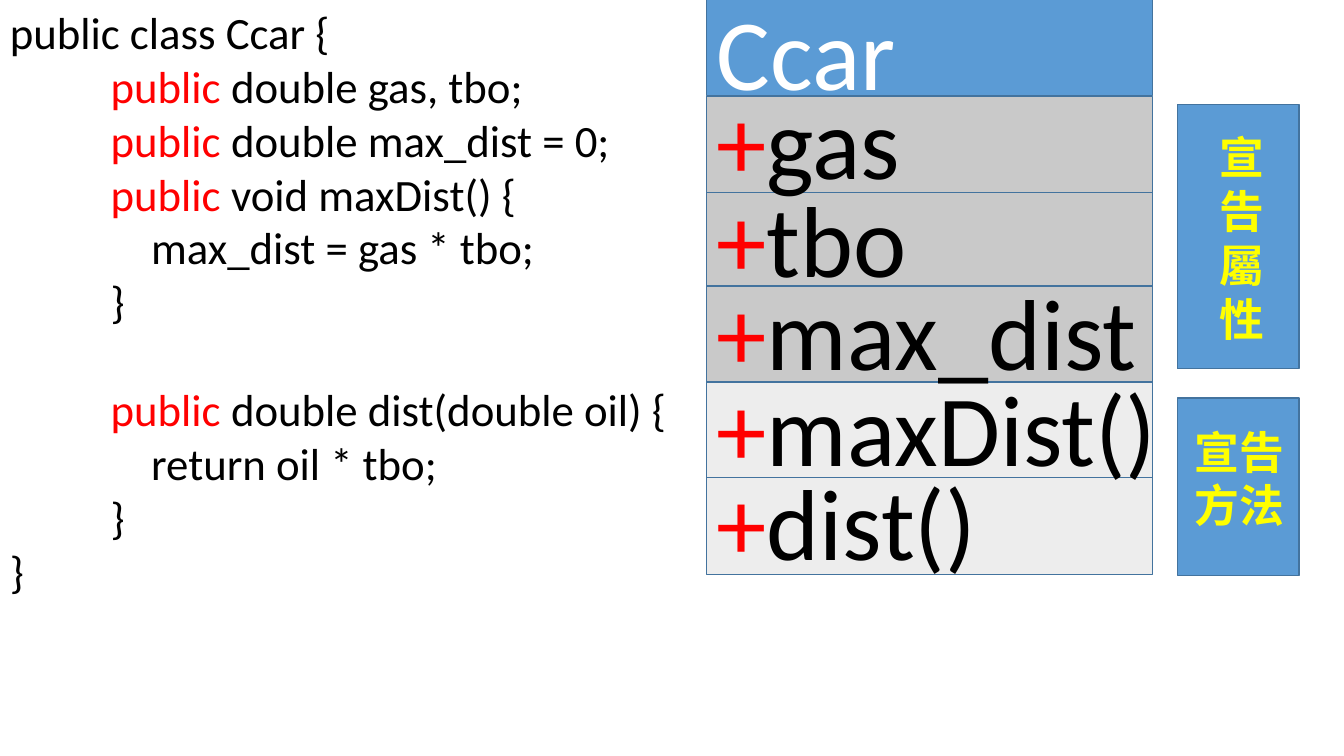
import pptx
import pptx.util
import pptx.dml.color
import pptx.enum.shapes
import pptx.enum.text

Cm = pptx.util.Cm
Pt = pptx.util.Pt
RED, BLACK, WHITE, YELLOW = "FF0000", "000000", "FFFFFF", "FFFF00"
BLUE, GREY, PALE, EDGE = "5B9BD5", "C9C9C9", "EDEDED", "43739E"


def rgb(value):
    return pptx.dml.color.RGBColor.from_string(value)


class SlideBuilder:
    font = "Calibri"

    def __init__(self, prs):
        self.s = prs.slides.add_slide(prs.slide_layouts[6])

    def box(self, left, top, width, height, fill):
        sp = self.s.shapes.add_shape(
            pptx.enum.shapes.MSO_SHAPE.FLOWCHART_PROCESS,
            Cm(left), Cm(top), Cm(width), Cm(height))
        sp.shadow.inherit = False
        sp.fill.solid()
        sp.fill.fore_color.rgb = rgb(fill)
        sp.line.color.rgb = rgb(EDGE)
        sp.line.width = Pt(1)

    def text(self, left, top, width, height, lines, size, bold=False):
        sp = self.s.shapes.add_textbox(Cm(left), Cm(top), Cm(width), Cm(height))
        tf = sp.text_frame
        tf.word_wrap = True
        tf.auto_size = pptx.enum.text.MSO_AUTO_SIZE.SHAPE_TO_FIT_TEXT
        font_format = {"name": self.font, "size": Pt(size), "bold": bold}
        for i, (indent, gap, runs) in enumerate(lines):
            p = tf.add_paragraph() if i else tf.paragraphs[0]
            p.space_before = Pt(gap)
            p._p.get_or_add_pPr().set("marL", str(Cm(indent)))
            for words, color in runs:
                r = p.add_run()
                r.text = words
                for key, value in font_format.items():
                    setattr(r.font, key, value)
                r.font.color.rgb = rgb(color)


def member(rest):
    return [("public", RED), (rest, BLACK)]


def plain(words):
    return [(words, BLACK)]


CODE = [
    (0, 0, plain("public class Ccar {")),
    (2.54, 0, member(" double gas, tbo;")),
    (2.54, 0, member(" double max_dist = 0;")),
    (2.54, 0, member(" void maxDist() {")),
    (3.56, 0, plain("max_dist = gas * tbo;")),
    (2.54, 0, plain("}")),
    (2.54, 39, member(" double dist(double oil) {")),
    (3.56, 0, plain("return oil * tbo;")),
    (2.54, 0, plain("}")),
    (0, 0, plain("}")),
]

CLASS_ROWS = [
    (-0.03, BLUE, -0.38, 8.92, [("Ccar", WHITE)]),
    (2.44, GREY, 1.85, 9.14, [("+", RED), ("gas", BLACK)]),
    (4.85, GREY, 4.34, 9.14, [("+", RED), ("tbo", BLACK)]),
    (7.21, GREY, 6.68, 11.53, [("+", RED), ("max_dist", BLACK)]),
    (9.63, PALE, 9.09, 11.86, [("+", RED), ("maxDist()", BLACK)]),
    (12.04, PALE, 11.46, 11.86, [("+", RED), ("dist()", BLACK)]),
]

LABELS = [
    (2.64, 6.65, (30.48, 3.15, 1.47, 5.74), "宣告屬性"),
    (10.03, 4.47, (29.85, 10.57, 2.9, 3), "宣告方法"),
]


def main():
    prs = pptx.Presentation()
    prs.slide_width, prs.slide_height = Cm(33.87), Cm(19.05)
    slide = SlideBuilder(prs)
    slide.text(0, 0, 18.06, 16.66, CODE, 32)
    for top, fill, *_ in CLASS_ROWS:
        slide.box(17.81, top, 11.23, 2.44, fill)
    for _, _, top, width, runs in CLASS_ROWS:
        slide.text(17.81, top, width, 3.33, [(0, 0, runs)], 72)
    for top, height, place, words in LABELS:
        slide.box(29.67, top, 3.07, height, BLUE)
        slide.text(*place, [(0, 0, [(words, YELLOW)])], 32, bold=True)
    prs.save("out.pptx")


if __name__ == "__main__":
    main()
